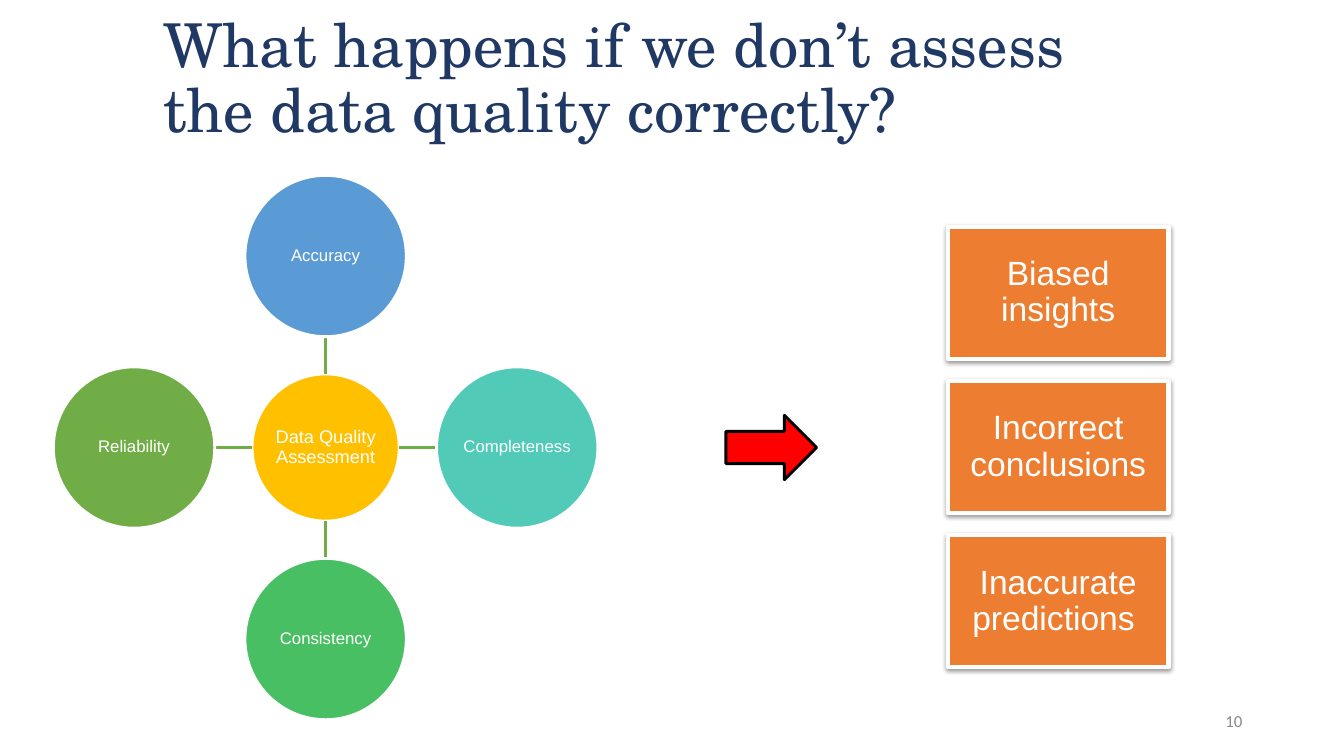
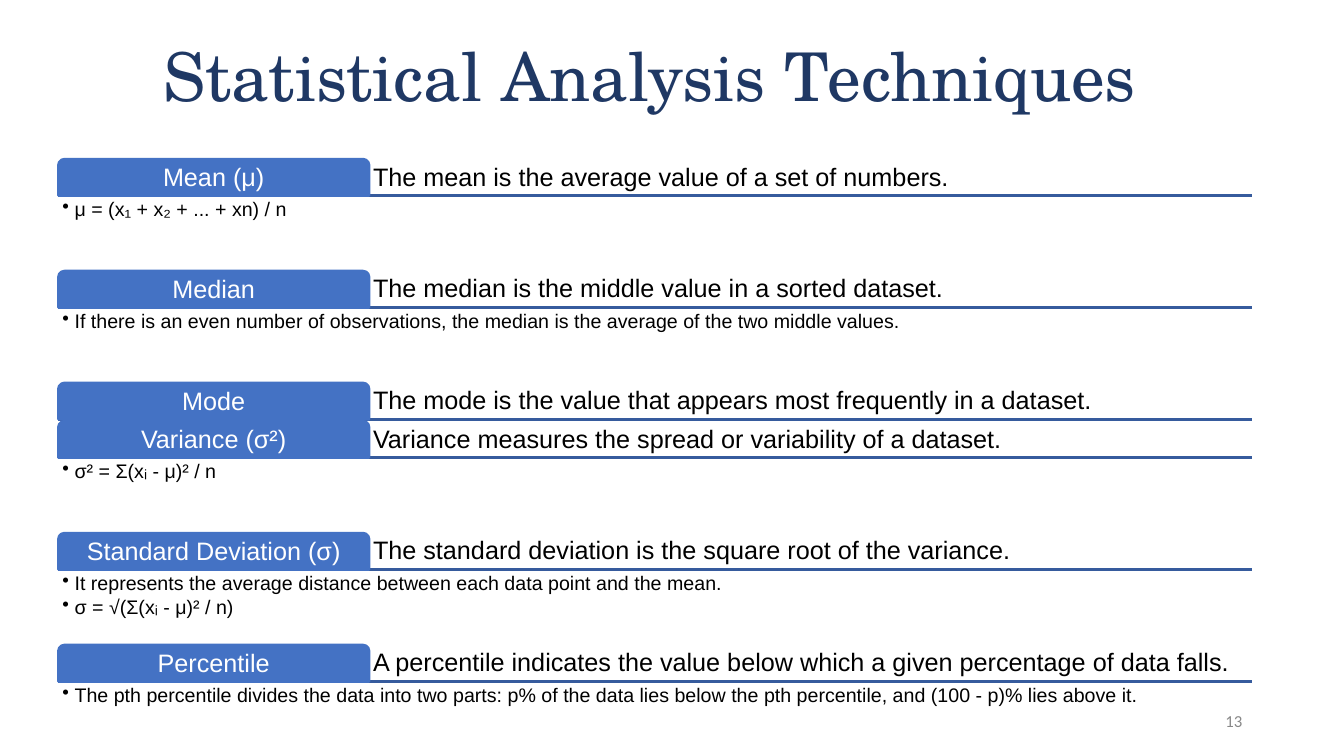
"""Build two slides on data quality and statistical analysis techniques."""
from lxml import etree
from pptx import Presentation
from pptx.dml.color import RGBColor
from pptx.enum import shapes, text
from pptx.oxml import ns
from pptx.util import Inches, Pt

NAVY = RGBColor(0x1F, 0x38, 0x64)
GREY = RGBColor(0x88, 0x88, 0x88)
WHITE = RGBColor(0xFF, 0xFF, 0xFF)
BLACK = RGBColor(0x00, 0x00, 0x00)
RED = RGBColor(0xFF, 0x00, 0x00)
GOLD = RGBColor(0xFF, 0xC0, 0x00)
SKY = RGBColor(0x5B, 0x9B, 0xD5)
TEAL = RGBColor(0x52, 0xCA, 0xB8)
EMERALD = RGBColor(0x49, 0xBF, 0x64)
GREEN = RGBColor(0x70, 0xAD, 0x47)
ORANGE = RGBColor(0xED, 0x7D, 0x31)
BLUE = RGBColor(0x44, 0x72, 0xC4)
DARK_BLUE = RGBColor(0x36, 0x5B, 0x9D)

TITLE_FONT, BODY_FONT, NUMBER_FONT = "TeX Gyre Schola", "Arial", "Calibri"
LEFT, CENTER, RIGHT = text.PP_ALIGN.LEFT, text.PP_ALIGN.CENTER, text.PP_ALIGN.RIGHT
TOP, MIDDLE, BOTTOM = text.MSO_ANCHOR.TOP, text.MSO_ANCHOR.MIDDLE, text.MSO_ANCHOR.BOTTOM

HUB_X, HUB_Y = 3.23, 4.44
HUB_RADIUS, CIRCLE_RADIUS, ORBIT = 0.73, 0.8, 1.9
CIRCLES = [
    ("Accuracy", SKY, 0, -1),
    ("Completeness", TEAL, 1, 0),
    ("Consistency", EMERALD, 0, 1),
    ("Reliability", GREEN, -1, 0),
]

RISKS = ["Biased insights", "Incorrect conclusions", "Inaccurate predictions "]
RISK_TOP, RISK_PITCH = 2.25, 1.53

ROW_LEFT, ROW_WIDTH, TAB_WIDTH = 0.58, 11.84, 3.08
ROW_TOP, ROW_GAP, HEADER_HEIGHT, DETAIL_HEIGHT = 1.58, 0.02, 0.36, 0.73
TECHNIQUES = [
    ("Mean (μ)", "The mean is the average value of a set of numbers.",
     ["μ = (x₁ + x₂ + ... + xn) / n"]),
    ("Median", "The median is the middle value in a sorted dataset.",
     ["If there is an even number of observations, the median is the average "
      "of the two middle values."]),
    ("Mode", "The mode is the value that appears most frequently in a dataset.", []),
    ("Variance (σ²)", "Variance measures the spread or variability of a dataset.",
     ["σ² = Σ(xᵢ - μ)² / n"]),
    ("Standard Deviation (σ)", "The standard deviation is the square root of the variance.",
     ["It represents the average distance between each data point and the mean.",
      "σ = √(Σ(xᵢ - μ)² / n)"]),
    ("Percentile",
     "A percentile indicates the value below which a given percentage of data falls.",
     ["The pth percentile divides the data into two parts: p% of the data lies below "
      "the pth percentile, and (100 - p)% lies above it."]),
]


def add_bullet(paragraph):
    properties = paragraph._p.get_or_add_pPr()
    properties.set("marL", str(Inches(0.12)))
    properties.set("indent", str(-Inches(0.12)))
    etree.SubElement(properties, ns.qn("a:buChar")).set("char", "•")


def write(shape, lines, size, color, align=CENTER, anchor=MIDDLE, font=BODY_FONT,
          insets=(0.04, 0.04), spacing=0.9, bulleted=False):
    frame = shape.text_frame
    frame.word_wrap = True
    frame.vertical_anchor = anchor
    frame.margin_left = frame.margin_right = Inches(insets[0])
    frame.margin_top = frame.margin_bottom = Inches(insets[1])
    for index, line in enumerate(lines):
        paragraph = frame.add_paragraph() if index else frame.paragraphs[0]
        paragraph.text = line
        if bulleted:
            add_bullet(paragraph)
            paragraph.space_after = Pt(2)
        paragraph.alignment = align
        paragraph.line_spacing = spacing
        paragraph.font.name = font
        paragraph.font.size = Pt(size)
        paragraph.font.color.rgb = color


def add_text(slide, box, lines, size, color, **style):
    shape = slide.shapes.add_textbox(*map(Inches, box))
    write(shape, lines, size, color, **style)


def add_shape(slide, kind, box, fill, line, line_width=2):
    shape = slide.shapes.add_shape(kind, *map(Inches, box))
    shape.shadow.inherit = False
    shape.fill.solid()
    shape.fill.fore_color.rgb = fill
    shape.line.color.rgb = line
    shape.line.width = Pt(line_width)
    return shape


def add_line(slide, start, end, color):
    line = slide.shapes.add_connector(
        shapes.MSO_CONNECTOR.STRAIGHT, *map(Inches, (*start, *end)))
    line.line.color.rgb = color
    line.line.width = Pt(2)
    etree.SubElement(line._element.spPr, ns.qn("a:effectLst"))


def add_drop_shadow(shape):
    effects = shape._element.spPr.find(ns.qn("a:effectLst"))
    shadow = etree.SubElement(effects, ns.qn("a:outerShdw"), blurRad="40000",
                              dist="20000", dir="5400000", rotWithShape="0")
    color = etree.SubElement(shadow, ns.qn("a:srgbClr"), val="000000")
    etree.SubElement(color, ns.qn("a:alpha"), val="38000")


def add_circle(slide, x, y, radius, label, size, fill):
    box = (x - radius, y - radius, 2 * radius, 2 * radius)
    circle = add_shape(slide, shapes.MSO_SHAPE.OVAL, box, fill, WHITE)
    write(circle, [label], size, WHITE, insets=(0, 0))


def add_slide(presentation, title, title_size, number):
    slide = presentation.slides.add_slide(presentation.slide_layouts[6])
    add_text(slide, (1.52, 0.07, 10.17, 1.45), [title], title_size, NAVY,
             align=LEFT, font=TITLE_FONT, insets=(0.1, 0.05))
    add_text(slide, (9.42, 6.95, 3, 0.4), [number], 12, GREY,
             align=RIGHT, font=NUMBER_FONT, insets=(0.1, 0.05), spacing=1.0)
    return slide


def add_quality_wheel(slide):
    add_circle(slide, HUB_X, HUB_Y, HUB_RADIUS, "Data Quality Assessment", 13, GOLD)
    for label, fill, across, down in CIRCLES:
        start, end = [(HUB_X + across * reach, HUB_Y + down * reach)
                      for reach in (HUB_RADIUS, ORBIT - CIRCLE_RADIUS)]
        add_line(slide, start, end, GREEN)
        add_circle(slide, HUB_X + across * ORBIT, HUB_Y + down * ORBIT,
                   CIRCLE_RADIUS, label, 12, fill)


def add_risks(slide):
    for index, risk in enumerate(RISKS):
        box = (9.4, RISK_TOP + index * RISK_PITCH, 2.19, 1.31)
        card = add_shape(slide, shapes.MSO_SHAPE.RECTANGLE, box, ORANGE, WHITE, 3)
        add_drop_shadow(card)
        write(card, [risk], 24, WHITE, insets=(0.1, 0.1))


def add_technique(slide, top, name, summary, details):
    rule_y = top + HEADER_HEIGHT
    add_line(slide, (ROW_LEFT, rule_y), (ROW_LEFT + ROW_WIDTH, rule_y), DARK_BLUE)
    tab = add_shape(slide, shapes.MSO_SHAPE.ROUND_2_SAME_RECTANGLE,
                    (ROW_LEFT, top, TAB_WIDTH, HEADER_HEIGHT), BLUE, BLUE)
    tab.adjustments[0] = 0.167
    write(tab, [name], 18, WHITE)
    add_text(slide, (ROW_LEFT + TAB_WIDTH, top, ROW_WIDTH - TAB_WIDTH, HEADER_HEIGHT),
             [summary], 18, BLACK, align=LEFT, anchor=BOTTOM)
    if details:
        add_text(slide, (ROW_LEFT, rule_y, ROW_WIDTH, DETAIL_HEIGHT), details, 14, BLACK,
                 align=LEFT, anchor=TOP, bulleted=True)


def add_techniques(slide):
    top = ROW_TOP
    for name, summary, details in TECHNIQUES:
        add_technique(slide, top, name, summary, details)
        top += HEADER_HEIGHT + ROW_GAP + (DETAIL_HEIGHT if details else 0)


def main():
    presentation = Presentation()
    presentation.slide_width = Inches(13.33)
    presentation.slide_height = Inches(7.5)

    quality = add_slide(
        presentation, "What happens if we don’t assess the data quality correctly?", 43.2, "10")
    add_quality_wheel(quality)
    add_shape(quality, shapes.MSO_SHAPE.RIGHT_ARROW, (7.2, 4.12, 0.9, 0.64), RED, BLACK)
    add_risks(quality)

    statistics = add_slide(presentation, "Statistical Analysis Techniques", 48, "13")
    add_techniques(statistics)

    presentation.save("out.pptx")


if __name__ == "__main__":
    main()
